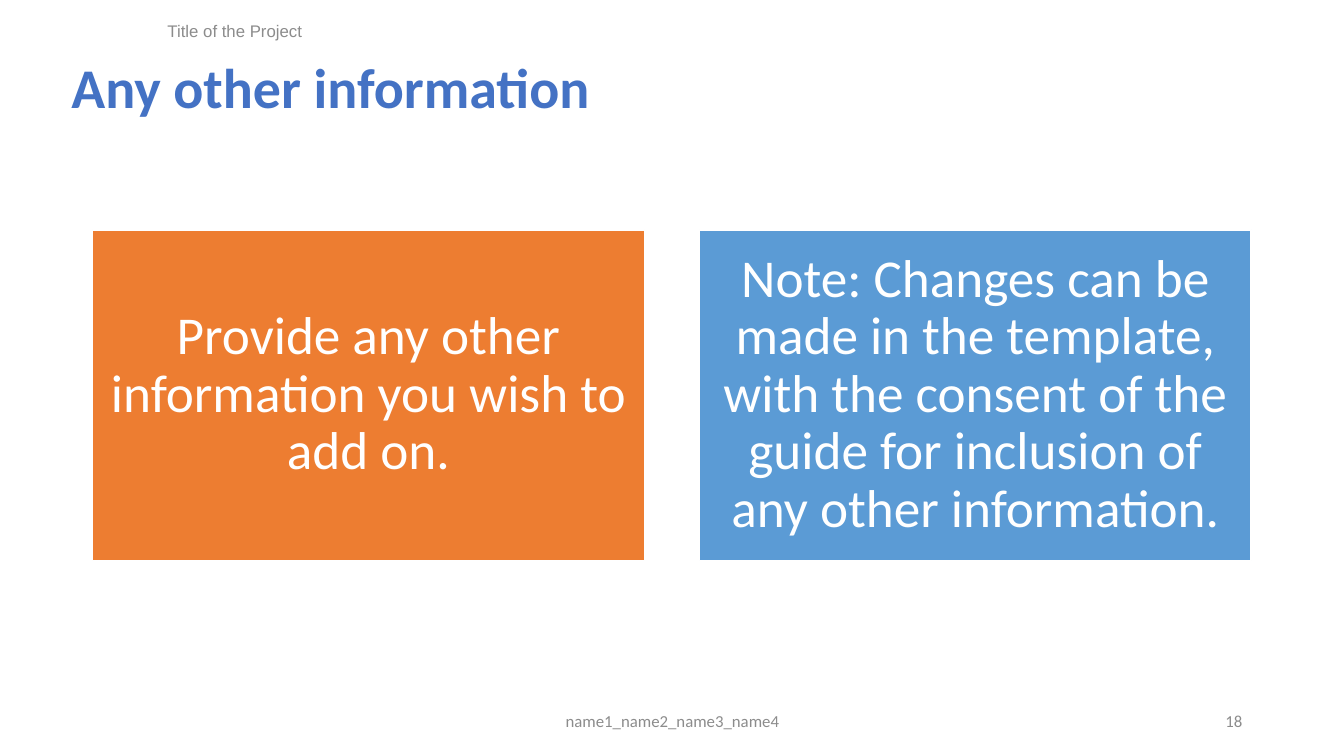
from pptx import Presentation
from pptx.dml.color import RGBColor
from pptx.enum import shapes, text
from pptx.util import Inches, Pt

WHITE = RGBColor(0xFF, 0xFF, 0xFF)
BLUE = RGBColor(0x44, 0x72, 0xC4)
ORANGE = RGBColor(0xED, 0x7D, 0x31)
SKY = RGBColor(0x5B, 0x9B, 0xD5)
GREY = RGBColor(0x8C, 0x8C, 0x8C)
LEFT, CENTER, RIGHT = text.PP_ALIGN.LEFT, text.PP_ALIGN.CENTER, text.PP_ALIGN.RIGHT

# Content
TITLE = "Any other information"
CARDS = [
    ("Provide any other information you wish to add on.", ORANGE),
    ("Note: Changes can be made in the template, with the consent of the "
     "guide for inclusion of any other information.", SKY),
]
# Header and footer: text, left, top, width, alignment, font
MARGINALS = [
    ("Title of the Project", 0.08, 0.11, 4.5, CENTER, "Arial"),
    ("name1_name2_name3_name4", 4.42, 6.95, 4.5, CENTER, "Calibri"),
    ("18", 9.42, 6.95, 3, RIGHT, "Calibri"),
]

# Card row
CARD_LEFT, CARD_TOP, CARD_W, CARD_H, CARD_GAP = 0.92, 2.28, 5.47, 3.28, 0.55
CARD_INSET = Inches(0.16)


def write(sp, words, size=12, color=GREY, font="Calibri", bold=False,
          align=LEFT, spacing=1.0):
    tf = sp.text_frame
    tf.word_wrap = True
    tf.vertical_anchor = text.MSO_ANCHOR.MIDDLE
    p = tf.paragraphs[0]
    p.alignment = align
    p.line_spacing = spacing
    r = p.add_run()
    r.text = words
    r.font.size = Pt(size)
    r.font.name = font
    r.font.bold = bold
    r.font.color.rgb = color
    return tf


def main():
    prs = Presentation()
    prs.slide_width, prs.slide_height = Inches(13.33), Inches(7.5)
    s = prs.slides.add_slide(prs.slide_layouts[6])

    # Title
    sp = s.shapes.add_textbox(Inches(0.61), Inches(0.44), Inches(11.5), Inches(0.92))
    write(sp, TITLE, size=40, color=BLUE, bold=True, spacing=0.9)

    # Cards
    for i, (words, fill) in enumerate(CARDS):
        left = CARD_LEFT + i * (CARD_W + CARD_GAP)
        sp = s.shapes.add_shape(shapes.MSO_SHAPE.RECTANGLE, Inches(left),
                                Inches(CARD_TOP), Inches(CARD_W), Inches(CARD_H))
        sp.shadow.inherit = False
        sp.fill.solid()
        sp.fill.fore_color.rgb = fill
        sp.line.color.rgb = WHITE
        sp.line.width = Pt(1)
        tf = write(sp, words, size=38, color=WHITE, align=CENTER, spacing=0.9)
        tf.margin_left = tf.margin_right = CARD_INSET
        tf.margin_top = tf.margin_bottom = CARD_INSET

    # Header and footer
    for words, left, top, width, align, font in MARGINALS:
        sp = s.shapes.add_textbox(Inches(left), Inches(top), Inches(width), Inches(0.4))
        write(sp, words, font=font, align=align)

    prs.save("out.pptx")


if __name__ == "__main__":
    main()
